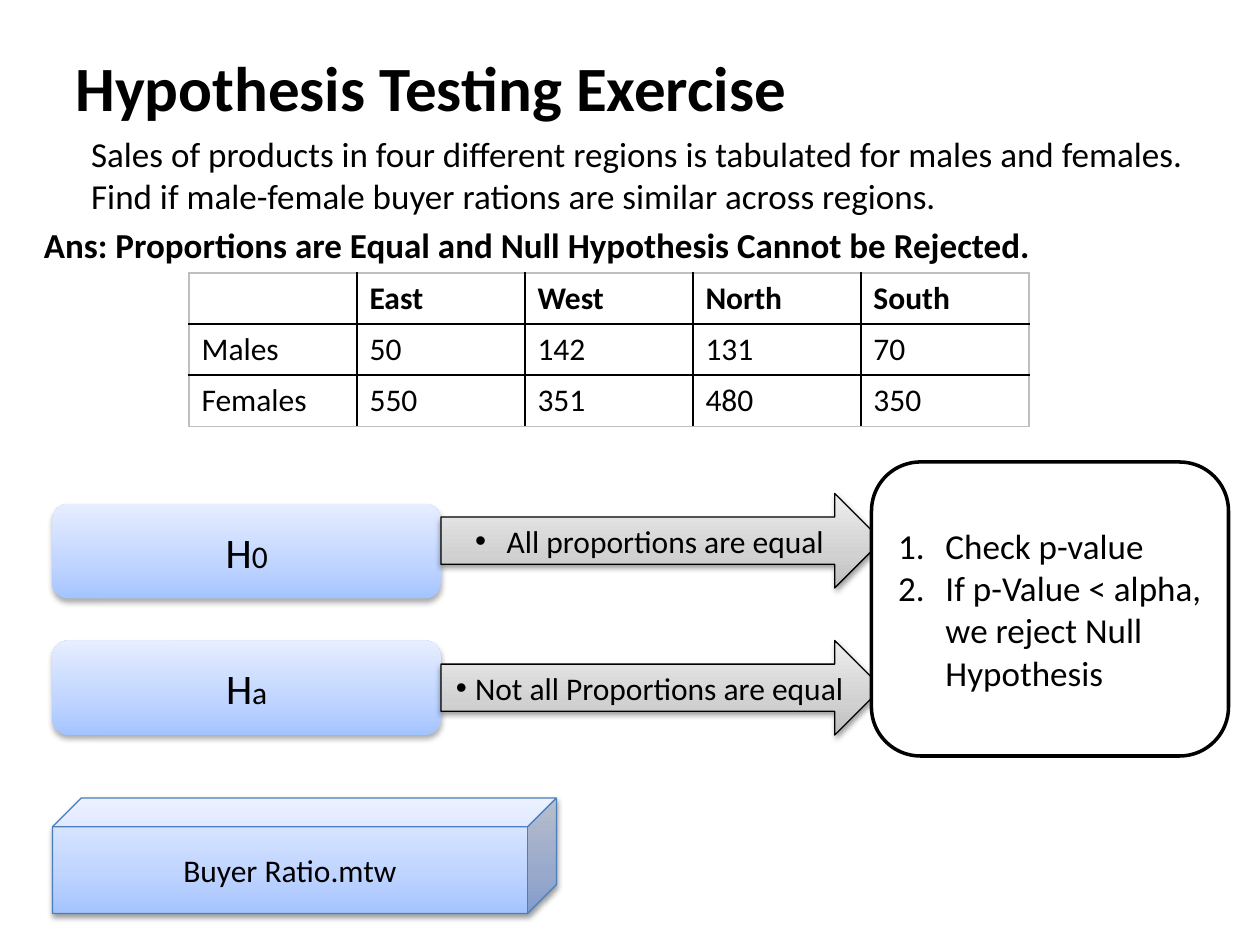
from lxml import etree
from pptx import Presentation
from pptx.dml.color import RGBColor
from pptx.enum.shapes import MSO_SHAPE
from pptx.enum.text import MSO_ANCHOR, PP_ALIGN
from pptx.oxml import parse_xml
from pptx.oxml.ns import qn
from pptx.util import Pt

ROUNDED = MSO_SHAPE.ROUNDED_RECTANGLE
ARROW = MSO_SHAPE.RIGHT_ARROW
CUBE = MSO_SHAPE.CUBE
MIDDLE, TOP = MSO_ANCHOR.MIDDLE, MSO_ANCHOR.TOP
LEFT, CENTER = PP_ALIGN.LEFT, PP_ALIGN.CENTER
BLACK = RGBColor(0x00, 0x00, 0x00)
WHITE = RGBColor(0xFF, 0xFF, 0xFF)
GRAY = RGBColor(0xBF, 0xBF, 0xBF)
BLUE = RGBColor(0x4B, 0x7E, 0xBC)
BLUE_STOPS = [(0, RGBColor(0xA4, 0xC4, 0xFF)), (35, RGBColor(0xBF, 0xD4, 0xFF)),
              (100, RGBColor(0xE6, 0xEE, 0xFF))]
GRAY_STOPS = [(0, RGBColor(0xBD, 0xBD, 0xBD)), (35, RGBColor(0xD1, 0xD1, 0xD1)),
              (100, RGBColor(0xEE, 0xEE, 0xEE))]
SOFT_SHADOW = (32, 3.5, 2.2)
EDGE_SHADOW = (38, 3.1, 1.6)
NAMESPACE = 'xmlns:a="http://schemas.openxmlformats.org/drawingml/2006/main"'

TITLE = "Hypothesis Testing Exercise"
QUESTION = ("Sales of products in four different regions is tabulated for males and females. "
            "Find if male-female buyer rations are similar across regions.")
ANSWER = "Ans: Proportions are Equal and Null Hypothesis Cannot be Rejected."
SALES = [
    ("", "East", "West", "North", "South"),
    ("Males", "50", "142", "131", "70"),
    ("Females", "550", "351", "480", "350"),
]
HYPOTHESES = [
    ("0", 288, "All proportions are equal", 282, 18),
    ("a", 366, "Not all Proportions are equal", 366, 11),
]
STEPS = ["Check p-value", "If p-Value < alpha, we reject Null Hypothesis"]
FILE_NAME = "Buyer Ratio.mtw"


def add_text(paragraph, *texts, size=18, bold=False, align=LEFT, margin=0, hang=0,
             before=0, bullet=None):
    sizes = size if isinstance(size, tuple) else (size,)
    paragraph.alignment = align
    paragraph.space_before = Pt(before)
    for text, run_size in zip(texts, sizes):
        run = paragraph.add_run()
        run.text = text
        run.font.name = "Calibri"
        run.font.size = Pt(run_size)
        run.font.bold = bold
        run.font.color.rgb = BLACK
    properties = paragraph._p.get_or_add_pPr()
    properties.set("marL", str(Pt(margin)))
    properties.set("indent", str(-Pt(hang)))
    if bullet == "number":
        etree.SubElement(properties, qn("a:buFont")).set("typeface", "+mj-lt")
        etree.SubElement(properties, qn("a:buAutoNum")).set("type", "arabicPeriod")
    elif bullet:
        etree.SubElement(properties, qn("a:buFont")).set("typeface", "Arial")
        etree.SubElement(properties, qn("a:buChar")).set("char", bullet)


def add_text_box(slide, left, top, width, height, anchor):
    frame = slide.shapes.add_textbox(Pt(left), Pt(top), Pt(width), Pt(height)).text_frame
    frame.word_wrap = True
    frame.vertical_anchor = anchor
    return frame


def add_block(slide, kind, left, top, width, height, stops=None, line=None,
              weight=0.75, shadow=None):
    shape = slide.shapes.add_shape(kind, Pt(left), Pt(top), Pt(width), Pt(height))
    shape.shadow.inherit = False
    shape.fill.solid()
    shape.fill.fore_color.rgb = WHITE
    properties = shape._element.spPr
    if stops:
        marks = "".join(f'<a:gs pos="{position * 1000}"><a:srgbClr val="{color}"/></a:gs>'
                        for position, color in stops)
        gradient = parse_xml(f'<a:gradFill {NAMESPACE} rotWithShape="1"><a:gsLst>{marks}</a:gsLst>'
                             '<a:lin ang="16200000" scaled="0"/></a:gradFill>')
        properties.replace(properties.find(qn("a:solidFill")), gradient)
    if line is None:
        shape.line.fill.background()
    else:
        shape.line.color.rgb = line
        shape.line.width = Pt(weight)
    if shadow:
        opacity, blur, distance = shadow
        properties.find(qn("a:effectLst")).append(parse_xml(
            f'<a:outerShdw {NAMESPACE} blurRad="{Pt(blur)}" dist="{Pt(distance)}" dir="5400000" '
            f'rotWithShape="0"><a:srgbClr val="{BLACK}"><a:alpha val="{opacity * 1000}"/>'
            '</a:srgbClr></a:outerShdw>'))
    frame = shape.text_frame
    frame.word_wrap = True
    frame.vertical_anchor = MIDDLE
    return frame


def set_borders(cell, colors):
    properties = cell._tc.get_or_add_tcPr()
    for index, (side, color) in enumerate(colors.items()):
        properties.insert(index, parse_xml(
            f'<a:{side} {NAMESPACE} w="{Pt(1)}"><a:solidFill><a:srgbClr val="{color}"/>'
            f'</a:solidFill></a:{side}>'))


def add_sales_table(slide):
    rows, columns = len(SALES), len(SALES[0])
    table = slide.shapes.add_table(rows, columns, Pt(108), Pt(156), Pt(480), Pt(87.6)).table
    table.horz_banding = False
    table.first_row = False
    for column in table.columns:
        column.width = Pt(96)
    for row_index, values in enumerate(SALES):
        table.rows[row_index].height = Pt(29.2)
        for column_index, value in enumerate(values):
            cell = table.cell(row_index, column_index)
            cell.fill.background()
            add_text(cell.text_frame.paragraphs[0], value, bold=row_index == 0)
            set_borders(cell, {
                "lnL": BLACK if column_index else GRAY,
                "lnR": BLACK if column_index < columns - 1 else GRAY,
                "lnT": BLACK if row_index else GRAY,
                "lnB": BLACK if row_index < rows - 1 else GRAY,
            })


presentation = Presentation()
presentation.slide_width = Pt(720)
presentation.slide_height = Pt(540)
slide = presentation.slides.add_slide(presentation.slide_layouts[6])

title = add_text_box(slide, 36, 21.6, 648, 56, MIDDLE)
add_text(title.paragraphs[0], TITLE, size=36, bold=True)

body = add_text_box(slide, 18, 72, 690, 84, TOP)
add_text(body.paragraphs[0], QUESTION, size=20, margin=27, before=4)
add_text(body.add_paragraph(), ANSWER, size=20, bold=True, margin=27, hang=27, before=4)

add_sales_table(slide)

for symbol, top, *_ in HYPOTHESES:
    frame = add_block(slide, ROUNDED, 30, top, 222, 54, BLUE_STOPS, shadow=SOFT_SHADOW)
    add_text(frame.paragraphs[0], "H", symbol, size=(24, 18), align=CENTER)

for _, _, statement, top, hang in HYPOTHESES:
    frame = add_block(slide, ARROW, 252, top, 252, 54, GRAY_STOPS, BLACK, shadow=EDGE_SHADOW)
    add_text(frame.paragraphs[0], statement, align=CENTER, margin=hang, hang=hang, bullet="•")

decision = add_block(slide, ROUNDED, 498, 264, 204, 168, line=BLACK, weight=2)
for index, step in enumerate(STEPS):
    paragraph = decision.add_paragraph() if index else decision.paragraphs[0]
    add_text(paragraph, step, size=20, margin=27, hang=27, bullet="number")

data_file = add_block(slide, CUBE, 30, 456, 288, 66, BLUE_STOPS, BLUE, shadow=EDGE_SHADOW)
add_text(data_file.paragraphs[0], FILE_NAME, align=CENTER)

presentation.save("out.pptx")
